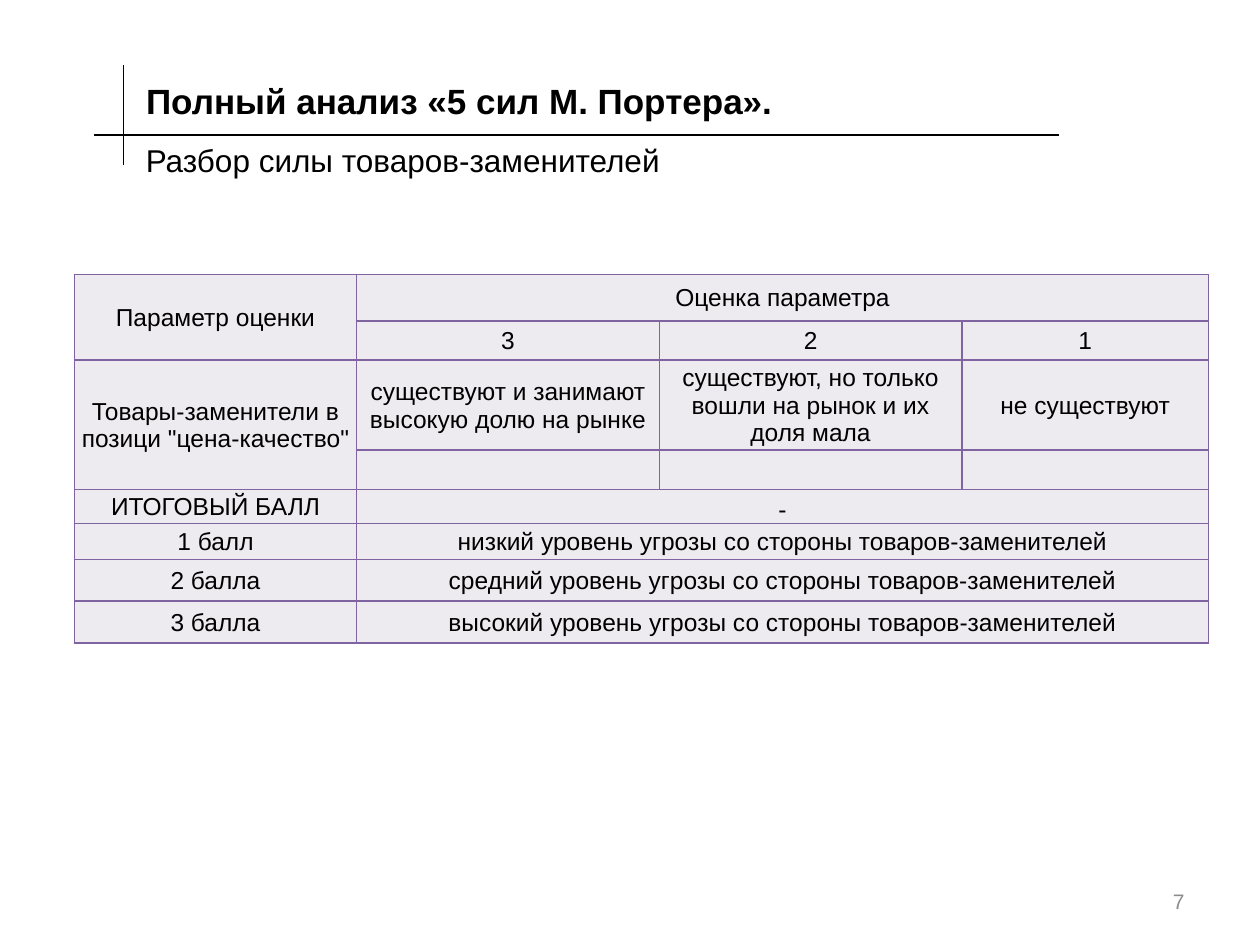
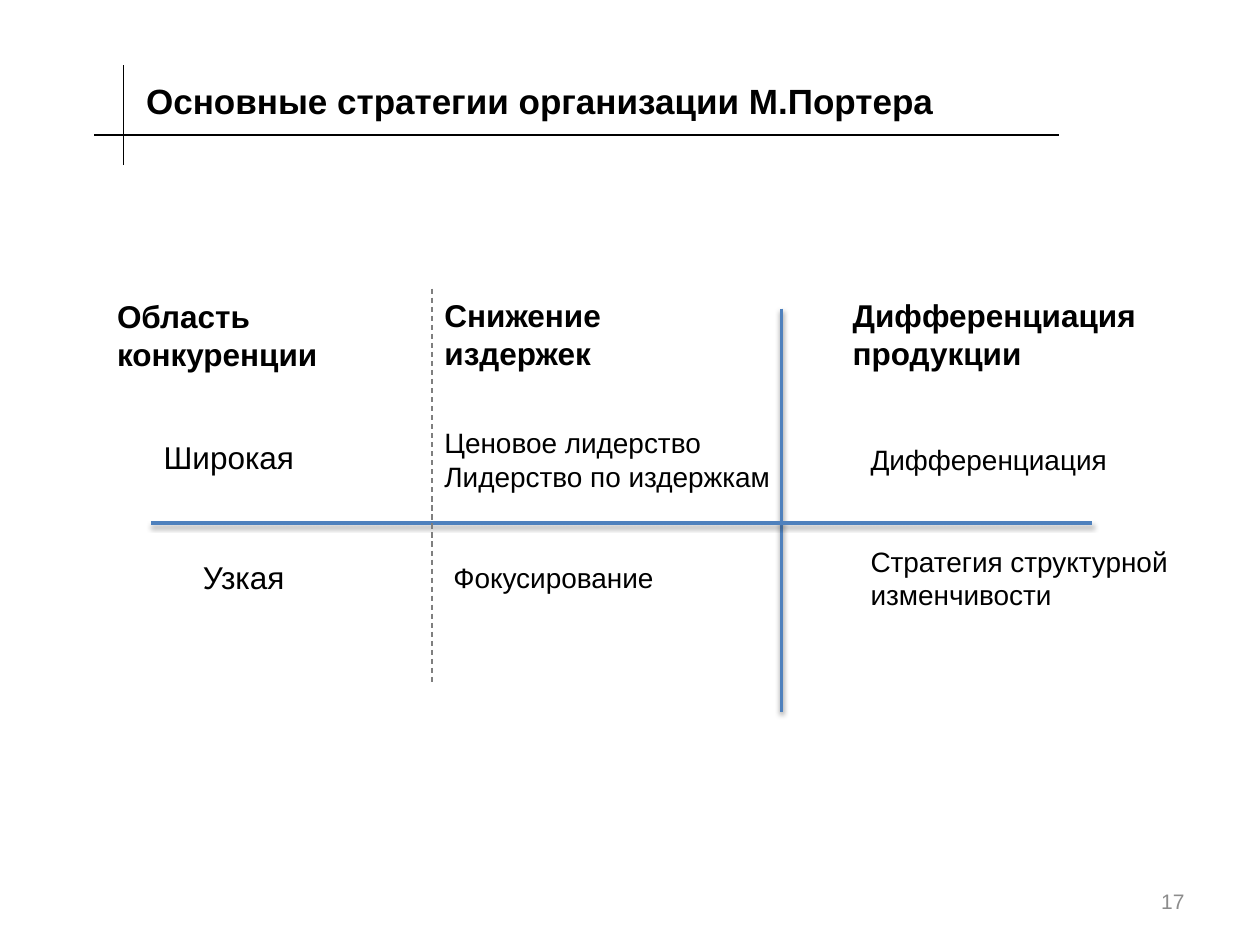
import lxml.etree
import pptx
import pptx.dml.color
import pptx.enum.dml
import pptx.enum.shapes
import pptx.enum.text
import pptx.oxml.ns
import pptx.util

Cm = pptx.util.Cm
Pt = pptx.util.Pt
ALIGN = pptx.enum.text.PP_ALIGN
ANCHOR = pptx.enum.text.MSO_ANCHOR

FONT = "Arial"
COLORS = {
    "text": "000000",
    "page_number": "8C8C8C",
    "axis": "4F81BD",
    "divider": "7F7F7F",
    "cell": "EDEAF0",
    "border": "8064A2",
}
TITLE_LEFT, TITLE_TOP, RULE_TOP = 2.69, 1.32, 2.72

COLUMN_WIDTHS = [5.69, 6.1, 6.1, 4.97]
ROW_HEIGHTS = [0.94, 0.79, 1.8, 0.77, 0.69, 0.73, 0.83, 0.85]
THREAT_TABLE = [
    ["Параметр оценки", "Оценка параметра", "", ""],
    ["", "3", "2", "1"],
    [
        'Товары-заменители в позици "цена-качество"',
        "существуют и занимают высокую долю на рынке",
        "существуют, но только вошли на рынок и их доля мала",
        "не существуют",
    ],
    ["", "", "", ""],
    ["ИТОГОВЫЙ БАЛЛ", "-", "", ""],
    ["1 балл", "низкий уровень угрозы со стороны товаров-заменителей", "", ""],
    ["2 балла", "средний уровень угрозы со стороны товаров-заменителей", "", ""],
    ["3 балла", "высокий уровень угрозы со стороны товаров-заменителей", "", ""],
]
TALL_CELL_ROWS = [0, 2]
WIDE_CELL_ROWS = [0, 4, 5, 6, 7]
TOTAL_ROW = 4

STRATEGY_HEADINGS = [
    ("Область конкуренции", 2.11, 5.87),
    ("Снижение издержек", 8.71, 5.84),
    ("Дифференциация продукции", 16.94, 5.84),
]
COMPETITION_SCOPES = [
    ("Широкая", 3.05, 8.71, 3.71),
    ("Узкая", 3.84, 11.13, 2.59),
]
STRATEGIES = [
    ("Ценовое лидерство\nЛидерство по издержкам", 8.71, 8.46, 8.0, 1.63),
    ("Дифференциация", 17.3, 8.79, 6.76, 0.94),
    ("Фокусирование", 8.89, 11.18, 5.61, 0.94),
    ("Стратегия структурной изменчивости", 17.3, 10.85, 7.7, 1.63),
]


def rgb(name):
    return pptx.dml.color.RGBColor.from_string(COLORS[name])


def format_text(text_frame, size, color="text", bold=False, align=ALIGN.LEFT):
    for paragraph in text_frame.paragraphs:
        paragraph.alignment = align
        for run in paragraph.runs:
            run.font.name = FONT
            run.font.size = Pt(size)
            run.font.bold = bold
            run.font.color.rgb = rgb(color)


def add_text(slide, text, left, top, width, height, size, anchor=ANCHOR.TOP, **style):
    box = slide.shapes.add_textbox(Cm(left), Cm(top), Cm(width), Cm(height))
    text_frame = box.text_frame
    text_frame.word_wrap = True
    text_frame.vertical_anchor = anchor
    text_frame.text = text
    format_text(text_frame, size, **style)


def add_line(slide, start, end, color, width, dashed=False, shadow=False):
    line = slide.shapes.add_connector(
        pptx.enum.shapes.MSO_CONNECTOR.STRAIGHT, *map(Cm, start + end)
    )
    line.line.color.rgb = rgb(color)
    line.line.width = Pt(width)
    if dashed:
        line.line.dash_style = pptx.enum.dml.MSO_LINE.DASH
    qn = pptx.oxml.ns.qn
    effects = lxml.etree.SubElement(line._element.spPr, qn("a:effectLst"))
    if shadow:
        outer = lxml.etree.SubElement(
            effects, qn("a:outerShdw"),
            blurRad=str(Pt(3.1)), dist=str(Pt(1.6)), dir="5400000", rotWithShape="0",
        )
        black = lxml.etree.SubElement(outer, qn("a:srgbClr"), val=COLORS["text"])
        lxml.etree.SubElement(black, qn("a:alpha"), val="38000")


def add_titled_slide(presentation, title, number):
    slide = presentation.slides.add_slide(presentation.slide_layouts.get_by_name("Title Only"))
    shape = slide.shapes.title
    shape.left, shape.top = Cm(TITLE_LEFT), Cm(TITLE_TOP)
    shape.width, shape.height = Cm(21.46), Cm(RULE_TOP - TITLE_TOP)
    text_frame = shape.text_frame
    text_frame.text = title
    text_frame.auto_size = pptx.enum.text.MSO_AUTO_SIZE.NONE
    text_frame.vertical_anchor = ANCHOR.MIDDLE
    format_text(text_frame, 20, bold=True)
    add_line(slide, (1.9, RULE_TOP), (21.34, RULE_TOP), "text", 0.75)
    add_line(slide, (2.49, 3.33), (2.49, TITLE_TOP), "text", 0.75)
    add_text(slide, str(number), 18.2, 17.65, 5.93, 1.02, 12,
             anchor=ANCHOR.MIDDLE, color="page_number", align=ALIGN.RIGHT)
    return slide


def add_cell_borders(cell):
    qn = pptx.oxml.ns.qn
    properties = cell._tc.get_or_add_tcPr()
    for side in ("lnL", "lnR", "lnT", "lnB"):
        border = lxml.etree.SubElement(properties, qn("a:" + side), w=str(Pt(1)))
        fill = lxml.etree.SubElement(border, qn("a:solidFill"))
        lxml.etree.SubElement(fill, qn("a:srgbClr"), val=COLORS["border"])


def format_cell(cell, text):
    cell.text = text
    cell.vertical_anchor = ANCHOR.MIDDLE
    cell.margin_left = cell.margin_right = cell.margin_top = Cm(0.03)
    cell.margin_bottom = 0
    add_cell_borders(cell)
    cell.fill.solid()
    cell.fill.fore_color.rgb = rgb("cell")
    format_text(cell.text_frame, 14, align=ALIGN.CENTER)


def add_threat_table(slide):
    table = slide.shapes.add_table(
        len(ROW_HEIGHTS), len(COLUMN_WIDTHS), Cm(1.5), Cm(5.53),
        Cm(sum(COLUMN_WIDTHS)), Cm(sum(ROW_HEIGHTS)),
    ).table
    table.first_row = table.horz_banding = False
    for column, width in zip(table.columns, COLUMN_WIDTHS):
        column.width = Cm(width)
    for row, height, texts in zip(table.rows, ROW_HEIGHTS, THREAT_TABLE):
        row.height = Cm(height)
        for cell, text in zip(row.cells, texts):
            format_cell(cell, text)
    for row in TALL_CELL_ROWS:
        table.cell(row, 0).merge(table.cell(row + 1, 0))
    for row in WIDE_CELL_ROWS:
        table.cell(row, 1).merge(table.cell(row, 3))
    table.cell(TOTAL_ROW, 1).vertical_anchor = ANCHOR.BOTTOM


def add_strategy_matrix(slide):
    for text, left, top in STRATEGY_HEADINGS:
        add_text(slide, text, left, top, 6.6, 1.8, 18, bold=True)
    for text, left, top, width in COMPETITION_SCOPES:
        add_text(slide, text, left, top, width, 1.02, 18)
    for text, left, top, width, height in STRATEGIES:
        add_text(slide, text, left, top, width, height, 16)
    add_line(slide, (15.75, 6.22), (15.75, 14.35), "axis", 2, shadow=True)
    add_line(slide, (3.05, 10.54), (22.02, 10.54), "axis", 2, shadow=True)
    add_line(slide, (8.71, 5.82), (8.71, 13.82), "divider", 0.75, dashed=True)


def main():
    presentation = pptx.Presentation()
    presentation.slide_width, presentation.slide_height = Cm(25.4), Cm(19.05)

    slide = add_titled_slide(presentation, "Полный анализ «5 сил М. Портера».", 7)
    add_text(slide, "Разбор силы товаров-заменителей", TITLE_LEFT, RULE_TOP, 12.7, 1.02, 18)
    add_threat_table(slide)

    slide = add_titled_slide(presentation, "Основные стратегии организации М.Портера", 17)
    add_strategy_matrix(slide)

    presentation.save("out.pptx")


if __name__ == "__main__":
    main()
